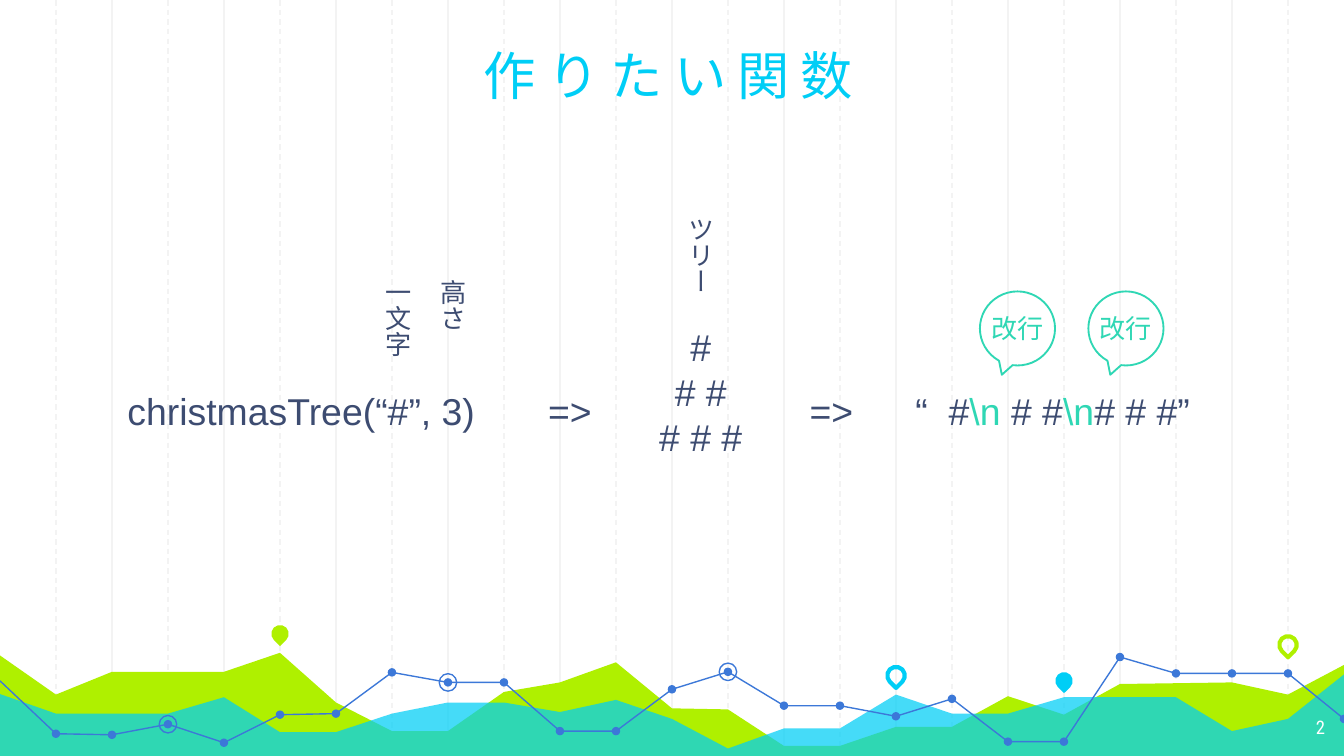
from lxml.etree import SubElement
from pptx import Presentation
from pptx.dml.color import RGBColor
from pptx.enum.dml import MSO_LINE_DASH_STYLE as Dash
from pptx.enum.shapes import MSO_CONNECTOR as Connector, MSO_SHAPE as Preset
from pptx.enum.text import MSO_ANCHOR as Anchor, MSO_AUTO_SIZE as AutoSize, PP_ALIGN as Align
from pptx.oxml.ns import qn
from pptx.util import Cm, Pt

WIDTH, HEIGHT, BLEED = 25.4, 14.29, 14.34
COLUMNS = 24
STEP = WIDTH / COLUMNS

GREEN_HILLS = {
    0: 12.39, 1: 13.13, 2: 12.7, 4: 12.7, 5: 12.34, 6: 13.28, 7: 13.82, 8: 13.82,
    9: 13.08, 10: 12.9, 11: 12.52, 12: 13.39, 13: 13.41, 14: 14.1, 15: 14.1,
    16: 13.74, 17: 13.74, 18: 13.16, 19: 13.51, 20: 12.93, 22: 12.9, 23: 13.13, 24: 12.57,
}
BLUE_HILLS = {
    0: 13.12, 1: 13.49, 3: 13.49, 4: 13.18, 5: 13.84, 6: 13.84, 7: 13.49, 8: 13.28,
    9: 13.28, 10: 13.46, 11: 13.23, 12: 13.59, 13: 14.15, 14: 13.77, 15: 13.77,
    16: 13.13, 17: 13.49, 18: 13.49, 19: 13.18, 21: 13.18, 22: 13.82, 23: 13.59, 24: 12.75,
}
TREND = [
    12.87, 13.87, 13.89, 13.69, 14.04, 13.51, 13.49, 12.71, 12.9, 12.9, 13.82, 13.82, 13.03,
    12.7, 13.34, 13.34, 13.54, 13.21, 14.02, 14.02, 12.42, 12.73, 12.73, 12.73, 13.59,
]
RINGS = [3, 8, 13]


def color(value):
    return RGBColor.from_string(value)


class Slide:
    latin, japanese, digits = "Arial", "Noto Sans CJK JP", "Roboto Condensed"
    ink, grid, white = "3D4C71", "F3F3F3", "FFFFFF"
    green, cyan, blue, teal = "AFF000", "00CEF6", "3C78D8", "2FD7B4"

    def __init__(self, page):
        self.page = page
        self.shapes = page.shapes

    def paint(self, shape, fill=None, line=None, weight=0.75, alpha=None):
        shape.shadow.inherit = False
        if fill:
            shape.fill.solid()
            shape.fill.fore_color.rgb = color(fill)
        else:
            shape.fill.background()
        if alpha:
            tone = shape.fill._xPr.find(qn("a:solidFill"))[0]
            SubElement(tone, qn("a:alpha"), val=str(alpha * 1000))
        if line:
            shape.line.color.rgb = color(line)
            shape.line.width = Pt(weight)
        else:
            shape.line.fill.background()
        return shape

    def style(self, para, size, font, tint, align=Align.CENTER):
        para.alignment = align
        para.font.size = Pt(size)
        para.font.name = font
        para.font.color.rgb = color(tint)
        SubElement(para.font._element, qn("a:ea"), typeface=font)

    def title(self, words, left, top, width, height):
        box = self.shapes.title
        self.shapes._spTree.append(box._element)
        box.left, box.top, box.width, box.height = Cm(left), Cm(top), Cm(width), Cm(height)
        frame = box.text_frame
        frame.auto_size = AutoSize.NONE
        frame.vertical_anchor = Anchor.BOTTOM
        frame.margin_top = frame.margin_bottom = Cm(0.25)
        frame.text = words
        para = frame.paragraphs[0]
        self.style(para, 28, self.japanese, self.cyan)
        para.font._element.set("spc", "600")

    def text(self, lines, left, top, width, height, size=20, font=None, tint=None,
             align=Align.CENTER, anchor=Anchor.MIDDLE, vertical=False):
        box = self.shapes.add_textbox(Cm(left), Cm(top), Cm(width), Cm(height))
        frame = box.text_frame
        frame.word_wrap = True
        frame.vertical_anchor = anchor
        frame.text = "\n".join(lines)
        for para in frame.paragraphs:
            self.style(para, size, font or self.latin, tint or self.ink, align)
        if vertical:
            frame._txBody.bodyPr.set("vert", "eaVert")
        return frame

    def label(self, words, left, top):
        self.text([words], left, top, 0.91, 2.2, 14, self.japanese,
                  align=Align.LEFT, vertical=True)

    def code(self, spans, stops, left, top, width, height):
        para = self.text([""], left, top, width, height, align=Align.LEFT).paragraphs[0]
        para.line_spacing = 3.0
        for words, tint in spans:
            span = para.add_run()
            span.text = words
            span.font.color.rgb = color(tint)
        properties = para._p.pPr
        tabs = SubElement(properties, qn("a:tabLst"))
        for stop in stops:
            SubElement(tabs, qn("a:tab"), pos=str(Cm(stop)), algn="l")
        properties.find(qn("a:defRPr")).addprevious(tabs)

    def grid_line(self, column):
        x = Cm(column * STEP)
        line = self.shapes.add_connector(Connector.STRAIGHT, x, 0, x, Cm(BLEED))
        line.line.color.rgb = color(self.grid)
        line.line.width = Pt(0.75)
        if column % 2:
            line.line.dash_style = Dash.DASH
        SubElement(line._element.spPr, qn("a:effectLst"))

    def outline(self, points, close):
        (x, y), *rest = [(Cm(column * STEP), Cm(height)) for column, height in points]
        builder = self.shapes.build_freeform(x, y)
        builder.add_line_segments(rest, close=close)
        return builder.convert_to_shape()

    def hills(self, heights, fill, alpha=None):
        points = [*heights.items(), (COLUMNS, BLEED), (0, BLEED)]
        self.paint(self.outline(points, True), fill, alpha=alpha)

    def trend(self, first, last):
        points = [(column, TREND[column]) for column in range(first, last + 1)]
        self.paint(self.outline(points, False), line=self.blue)

    def marker(self, preset, column, y, size, **paint):
        left, top = Cm(column * STEP - size / 2), Cm(y - size / 2)
        return self.paint(self.shapes.add_shape(preset, left, top, Cm(size), Cm(size)), **paint)

    def pin(self, column, y, **paint):
        self.marker(Preset.TEAR, column, y, 0.33, weight=2.25, **paint).rotation = 135

    def callout(self, words, left, top):
        bubble = self.shapes.add_shape(
            Preset.OVAL_CALLOUT, Cm(left), Cm(top), Cm(1.42), Cm(1.4))
        self.paint(bubble, line=self.teal, weight=1)
        frame = bubble.text_frame
        frame.word_wrap = False
        frame.vertical_anchor = Anchor.MIDDLE
        frame.text = words
        self.style(frame.paragraphs[0], 14, self.japanese, self.teal)


def main():
    deck = Presentation()
    deck.slide_width, deck.slide_height = Cm(WIDTH), Cm(HEIGHT)
    slide = Slide(deck.slides.add_slide(deck.slide_layouts[5]))

    for column in range(1, COLUMNS):
        slide.grid_line(column)
    slide.hills(GREEN_HILLS, slide.green)
    slide.hills(BLUE_HILLS, slide.cyan, alpha=73)
    for first, last in [(0, 11), (11, 20), (20, 24)]:
        slide.trend(first, last)
    for column in range(1, COLUMNS + 1):
        slide.marker(Preset.OVAL, column, TREND[column], 0.16, fill=slide.blue)
    for column in RINGS:
        slide.marker(Preset.OVAL, column, TREND[column], 0.33, line=slide.blue)
    slide.pin(5, 11.98, fill=slide.green)
    slide.pin(16, 12.77, line=slide.cyan)
    slide.pin(19, 12.87, fill=slide.cyan)
    slide.pin(23, 12.19, line=slide.green)

    slide.title("作りたい関数", 2.92, 0.28, 19.43, 1.98)
    slide.text(["2"], 23.77, 13.41, 1.52, 0.89, 10, slide.digits, slide.white,
               Align.RIGHT, Anchor.TOP)
    spans = [
        ("christmasTree(“#”, 3)\t=>\t=>\t“\t#", slide.ink),
        ("\\n ", slide.teal),
        ("# #", slide.ink),
        ("\\n", slide.teal),
        ("# # #”", slide.ink),
    ]
    slide.code(spans, [7.95, 12.89, 14.89, 15.52], 2.16, 5.28, 21.34, 3.25)
    slide.text(["#", "# #", "# # #"], 11.1, 5.56, 4.29, 3.68)
    slide.label("一文字", 7.06, 5.03)
    slide.label("高さ", 8.1, 5.03)
    slide.label("ツリー", 12.78, 3.84)
    for left in (18.52, 20.57):
        slide.callout("改行", left, 5.51)
    deck.save("out.pptx")


if __name__ == "__main__":
    main()
